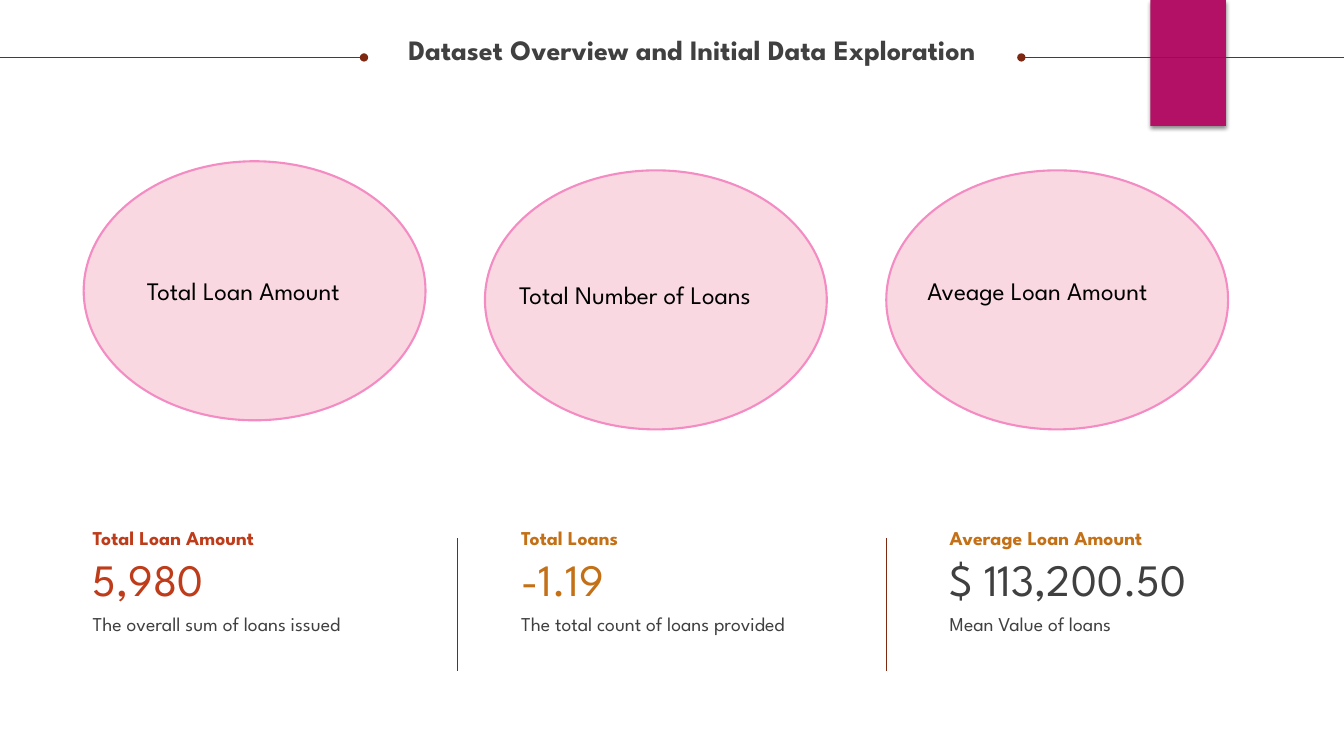
from dataclasses import dataclass

from lxml import etree
from pptx import Presentation
from pptx.dml.color import RGBColor
from pptx.enum.shapes import MSO_CONNECTOR, MSO_SHAPE
from pptx.enum.text import MSO_AUTO_SIZE, PP_ALIGN
from pptx.oxml import parse_xml
from pptx.oxml.ns import nsdecls, qn
from pptx.util import Inches, Pt

STRAIGHT = MSO_CONNECTOR.STRAIGHT
RECTANGLE = MSO_SHAPE.RECTANGLE
OVAL = MSO_SHAPE.OVAL
FIT_TEXT = MSO_AUTO_SIZE.SHAPE_TO_FIT_TEXT
LEFT = PP_ALIGN.LEFT
CENTER = PP_ALIGN.CENTER


@dataclass(frozen=True)
class Theme:
    font: str = "League Spartan"
    magenta: str = "B31166"
    rule: str = "7E2812"
    grey: str = "404040"
    black: str = "000000"
    red: str = "BE3C1A"
    orange: str = "C47016"
    pink: str = "F9D8E2"
    pink_edge: str = "F48CC3"
    title: int = 20
    bubble: int = 18
    body: int = 14
    figure: int = 32
    rule_width: float = 0.75
    edge_width: float = 1.5


THEME = Theme()
SLIDE_WIDTH, SLIDE_HEIGHT = 13.33, 7.5

BUBBLES = [
    ("Total Loan Amount", (0.83, 1.6), (0.53, 1.08), 2.56),
    ("Total Number of Loans", (4.81, 1.69), (0.24, 1.03), 3.15),
    ("Aveage Loan Amount", (8.79, 1.69), (0.31, 0.99), 3.01),
]
METRICS = [
    ("Total Loan Amount", "5,980", "The overall sum of loans issued", THEME.red, THEME.red),
    ("Total Loans", "-1.19", "The total count of loans provided", THEME.orange, THEME.orange),
    ("Average Loan Amount", "$ 113,200.50", "Mean Value of loans", THEME.orange, THEME.grey),
]


def add_text(slide, box, text, size, color, bold=False, align=LEFT, spacing=None, inset=True):
    caption = slide.shapes.add_textbox(*map(Inches, box))
    frame = caption.text_frame
    frame.word_wrap = True
    frame.auto_size = FIT_TEXT
    if not inset:
        frame.margin_left = frame.margin_right = 0
        frame.margin_top = frame.margin_bottom = 0
    frame.text = text
    paragraph = frame.paragraphs[0]
    paragraph.alignment = align
    if spacing is not None:
        paragraph.line_spacing = spacing
    font = paragraph.runs[0].font
    font.name = THEME.font
    font.size = Pt(size)
    font.bold = bold
    font.color.rgb = RGBColor.from_string(color)


def add_rule(slide, start, end, dot_at_end=False):
    rule = slide.shapes.add_connector(STRAIGHT, *map(Inches, (*start, *end)))
    rule.line.color.rgb = RGBColor.from_string(THEME.rule)
    rule.line.width = Pt(THEME.rule_width)
    properties = rule._element.spPr
    etree.SubElement(properties, qn("a:effectLst"))
    if dot_at_end:
        etree.SubElement(properties.find(qn("a:ln")), qn("a:tailEnd"), type="oval")


def add_ribbon(slide, box):
    ribbon = slide.shapes.add_shape(RECTANGLE, *map(Inches, box))
    ribbon.fill.solid()
    ribbon.fill.fore_color.rgb = RGBColor.from_string(THEME.magenta)
    ribbon.line.fill.background()
    ribbon.shadow.inherit = False
    shadow = parse_xml(
        f'<a:outerShdw {nsdecls("a")} blurRad="{Pt(3)}" dist="{Pt(2)}" dir="5400000" rotWithShape="0">'
        f'<a:srgbClr val="{THEME.black}"><a:alpha val="45000"/></a:srgbClr></a:outerShdw>'
    )
    ribbon._element.spPr.find(qn("a:effectLst")).append(shadow)


def add_header(slide, box):
    left, top, width, height = box
    middle = top + height / 2
    right = left + width
    add_rule(slide, (right, middle), (right - 3.2, middle), dot_at_end=True)
    add_text(slide, (left + 0.45, top + 0.36, 12.83, 0.3),
             "Dataset Overview and Initial Data Exploration",
             THEME.title, THEME.grey, bold=True, align=CENTER, spacing=0.9, inset=False)
    add_rule(slide, (left, middle), (left + 3.61, middle), dot_at_end=True)


def add_bubble(slide, box, label, label_offset, label_width):
    left, top = box[:2]
    bubble = slide.shapes.add_shape(OVAL, *map(Inches, box))
    bubble.shadow.inherit = False
    bubble.fill.solid()
    bubble.fill.fore_color.rgb = RGBColor.from_string(THEME.pink)
    bubble.line.color.rgb = RGBColor.from_string(THEME.pink_edge)
    bubble.line.width = Pt(THEME.edge_width)
    across, down = label_offset
    add_text(slide, (left + across, top + down, label_width, 0.4),
             label, THEME.bubble, THEME.black)


def add_metric(slide, box, metric):
    left, top, width, _ = box
    heading, figure, note, heading_color, figure_color = metric
    add_text(slide, (left, top, width, 0.24), heading, THEME.body, heading_color,
             bold=True, spacing=Pt(19), inset=False)
    add_text(slide, (left, top + 0.28, width, 0.54), figure, THEME.figure, figure_color,
             inset=False)
    add_text(slide, (left, top + 0.85, width, 0.24), note, THEME.body, THEME.grey,
             spacing=Pt(19), inset=False)


def add_metrics(slide, box):
    left, top, width, height = box
    column_width = 3
    step = (width - column_width) / (len(METRICS) - 1)
    for index, metric in enumerate(METRICS):
        column = left + index * step
        add_metric(slide, (column, top, column_width, height), metric)
        if index:
            divider = column - 0.63
            add_rule(slide, (divider, top + 0.15), (divider, top + height))


def main():
    deck = Presentation()
    deck.slide_width = Inches(SLIDE_WIDTH)
    deck.slide_height = Inches(SLIDE_HEIGHT)
    slide = deck.slides.add_slide(deck.slide_layouts[6])
    add_ribbon(slide, (11.41, 0, 0.75, 1.25))
    add_header(slide, (0, 0, SLIDE_WIDTH, 1.14))
    add_metrics(slide, (0.92, 5.19, 11.5, 1.47))
    for label, corner, label_offset, label_width in BUBBLES:
        add_bubble(slide, (*corner, 3.39, 2.57), label, label_offset, label_width)
    deck.save("out.pptx")


if __name__ == "__main__":
    main()
